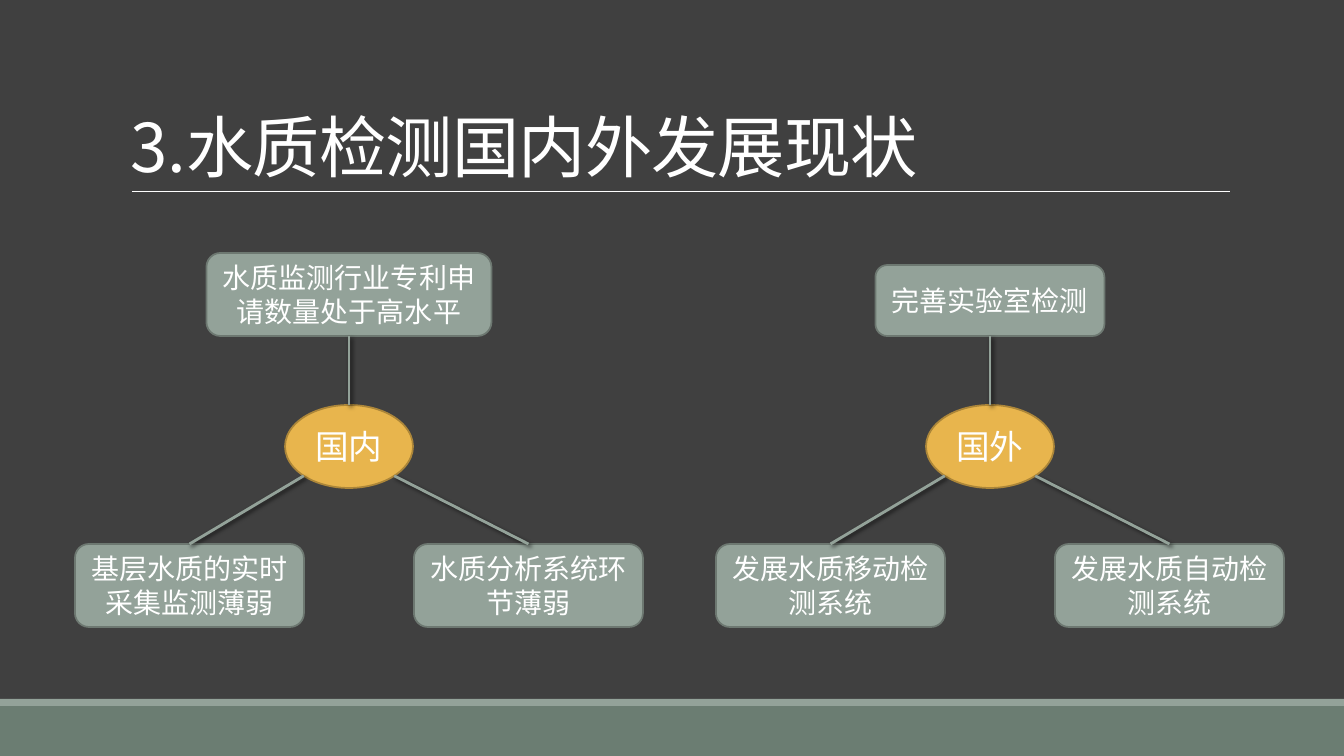
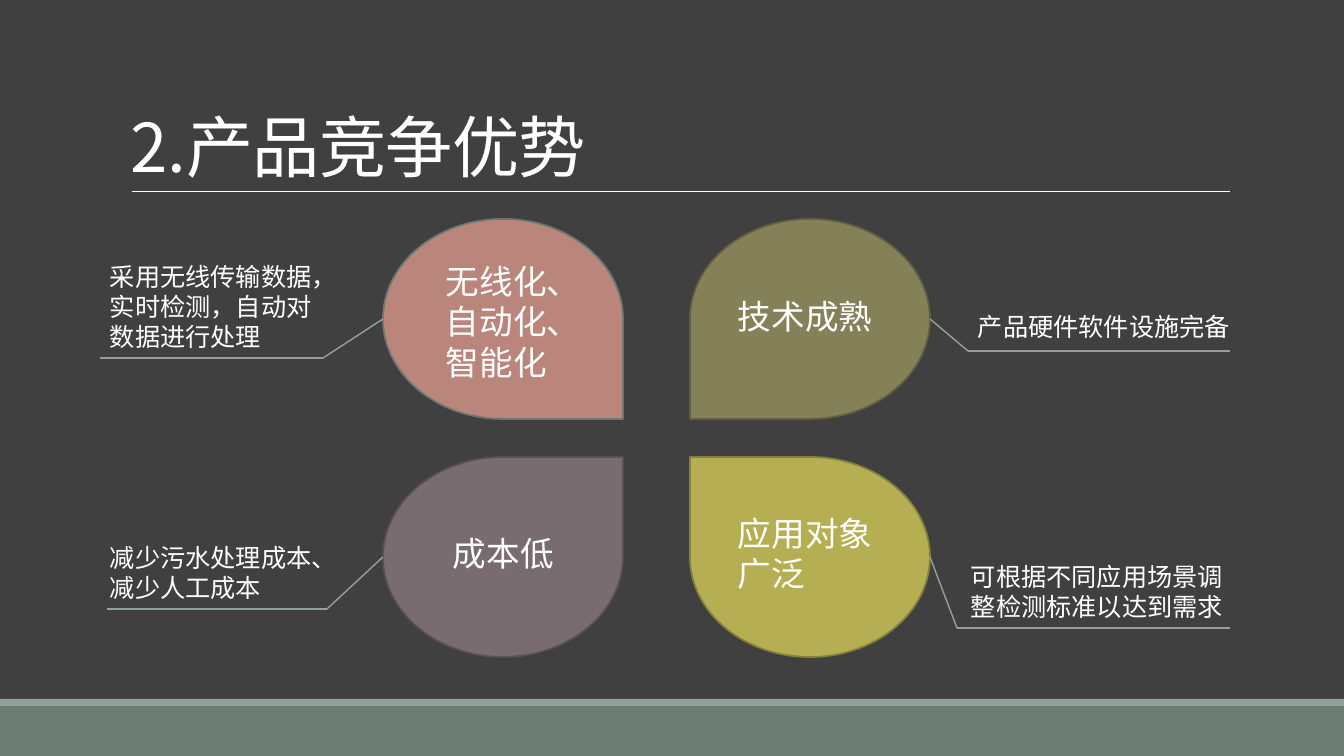
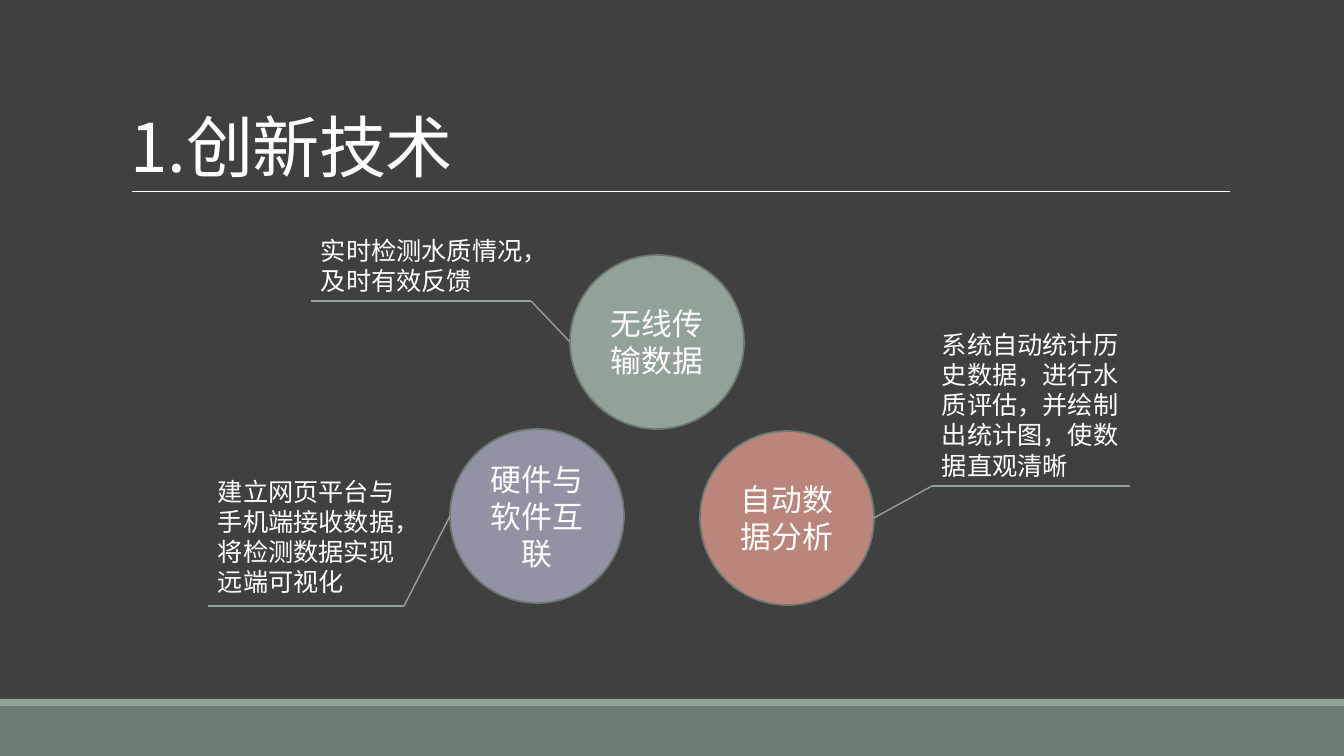
import lxml.etree
import pptx
import pptx.dml.color
import pptx.enum.shapes
import pptx.enum.text
import pptx.oxml.ns
import pptx.util

SCALE = 914400 / 100.8
FONT = "Noto Sans CJK SC"
COLORS = {
    "background": "404040",
    "band": "6B7D72",
    "sage": "93A299",
    "sage_edge": "6D7871",
    "amber": "E8B54D",
    "amber_edge": "AC8639",
    "rose": "BA867C",
    "lime": "B5AE53",
    "lime_edge": "86813D",
    "plum": "786C71",
    "plum_edge": "595054",
    "olive": "848058",
    "olive_edge": "625F41",
    "lavender": "9292A4",
    "white": "FFFFFF",
    "black": "000000",
}
SHAPES = pptx.enum.shapes.MSO_SHAPE
ALIGN = pptx.enum.text.PP_ALIGN
ANCHOR = pptx.enum.text.MSO_ANCHOR


def emu(pixels):
    """Turn px into EMU."""
    return pptx.util.Emu(round(pixels * SCALE))


def color(name):
    """Look up a palette colour."""
    return pptx.dml.color.RGBColor.from_string(COLORS[name])


def add_child(parent, tag, **attributes):
    """Append a DrawingML element to a parent."""
    return lxml.etree.SubElement(parent, pptx.oxml.ns.qn(tag), attributes)


def write(shape, text, size, align=ALIGN.LEFT, anchor=ANCHOR.TOP):
    """Fill a shape with one paragraph of white text and return the paragraph."""
    text_frame = shape.text_frame
    text_frame.word_wrap = True
    text_frame.vertical_anchor = anchor
    text_frame.text = text
    paragraph = text_frame.paragraphs[0]
    paragraph.alignment = align
    for run in paragraph.runs:
        run.font.size = pptx.util.Pt(size)
        run.font.name = FONT
        run.font.color.rgb = color("white")
        add_child(run.font._element, "a:ea", typeface=FONT)
    return paragraph


def add_text(slide, text, box, size, **layout):
    """Add a text box and return its paragraph."""
    return write(slide.shapes.add_textbox(*map(emu, box)), text, size, **layout)


def add_block(slide, kind, box, fill, edge=None, text="", size=20):
    """Add a filled preset shape with optional centred text."""
    shape = slide.shapes.add_shape(kind, *map(emu, box))
    shape.shadow.inherit = False
    shape.fill.solid()
    shape.fill.fore_color.rgb = color(fill)
    if edge:
        shape.line.color.rgb = color(edge)
        shape.line.width = pptx.util.Pt(1.25)
    else:
        shape.line.fill.background()
    if text:
        write(shape, text, size, ALIGN.CENTER, ANCHOR.MIDDLE)
    return shape


def add_line(slide, start, end, line_color="sage", width=1, shadow=False):
    """Draw a straight connector between two points in EMU."""
    connector = slide.shapes.add_connector(
        pptx.enum.shapes.MSO_CONNECTOR.STRAIGHT, *map(round, (*start, *end)))
    connector.line.color.rgb = color(line_color)
    connector.line.width = pptx.util.Pt(width)
    effects = add_child(connector._element.spPr, "a:effectLst")
    if shadow:
        outer = add_child(effects, "a:outerShdw", blurRad="38100", dist="25400",
                          dir="2700000", rotWithShape="0")
        black = add_child(outer, "a:srgbClr", val=COLORS["black"])
        add_child(black, "a:alpha", val="60000")
    return connector


def add_titled_slide(presentation, title):
    """Add a slide with the shared bands, title and rule."""
    slide = presentation.slides.add_slide(presentation.slide_layouts[6])
    add_block(slide, SHAPES.RECTANGLE, (0, 706, 1344, 50), "band")
    add_block(slide, SHAPES.RECTANGLE, (0, 699, 1344, 7), "sage")
    add_line(slide, (emu(132), emu(191)), (emu(1230), emu(191)), "white", 0.5)
    paragraph = add_text(slide, title, (121, 31, 1109, 160), 48, anchor=ANCHOR.BOTTOM)
    paragraph.line_spacing = 0.85
    for run in paragraph.runs:
        run.font._element.set("spc", "-50")
    return slide


def add_cluster(slide, left, top, hub_text, head_text, head_size, foot_texts):
    """Draw a hub with one box above it and two below."""
    hub_center = left + 274
    head_width, head_height = head_size
    hub = add_block(slide, SHAPES.OVAL, (hub_center - 64, top + 153, 128, 83),
                    "amber", "amber_edge", hub_text, 24)
    head_top = top + 84 - head_height
    head = add_block(slide, SHAPES.ROUNDED_RECTANGLE,
                     (hub_center - head_width / 2, head_top, head_width, head_height),
                     "sage", "sage_edge", head_text)
    stem = add_line(slide, (0, 0), (0, 0), width=2, shadow=True)
    stem.begin_connect(head, 2)
    stem.end_connect(hub, 0)
    diagonal = 0.5 ** 0.5
    for side, offset, text in zip((-1, 1), (0, 339), foot_texts):
        foot = add_block(slide, SHAPES.ROUNDED_RECTANGLE,
                         (left + offset, top + 292, 229, 83), "sage", "sage_edge", text)
        start = (hub.left + hub.width / 2 * (1 + side * diagonal),
                 hub.top + hub.height / 2 * (1 + diagonal))
        branch = add_line(slide, start, start, width=2, shadow=True)
        branch.end_connect(foot, 0)


def add_petal(slide, box, fill, edge, flips, text, label):
    """Draw a teardrop with a label placed relative to its corner."""
    left, top = box[:2]
    petal = add_block(slide, SHAPES.TEAR, box, fill, edge)
    for flip in flips:
        petal._element.spPr.xfrm.set(flip, "1")
    label_left, label_top, label_width, label_height = label
    add_text(slide, text, (left + label_left, top + label_top, label_width, label_height), 24)
    return petal


def add_callout(slide, shape, text, box, near, far):
    """Add a note underlined from near to far and tied to a shape's side."""
    left, top, width, height = box
    add_text(slide, text, box, 18)
    base = emu(top + height)
    elbow = (emu(left + near), base)
    side = shape.left if emu(left) < shape.left else shape.left + shape.width
    add_line(slide, (side, shape.top + shape.height / 2), elbow)
    add_line(slide, elbow, (emu(left + far), base))


def build_status(presentation):
    """Build the slide on the state of development."""
    slide = add_titled_slide(presentation, "3.水质检测国内外发展现状")
    add_cluster(slide, 75, 252, "国内", "水质监测行业专利申请数量处于高水平", (285, 83),
                ("基层水质的实时采集监测薄弱", "水质分析系统环节薄弱"))
    add_cluster(slide, 716, 252, "国外", "完善实验室检测", (229, 71),
                ("发展水质移动检测系统", "发展水质自动检测系统"))


def build_advantages(presentation):
    """Build the slide on competitive advantages."""
    slide = add_titled_slide(presentation, "2.产品竞争优势")
    petals = [
        (0, 0, "rose", "sage_edge", ["flipV"], "无线化、自动化、智能化", (53, 37, 166, 132),
         "采用无线传输数据，实时检测，自动对数据进行处理", (100, 256, 240, 102), 223, 0),
        (1, 0, "olive", "olive_edge", ["flipH", "flipV"], "技术成熟", (38, 72, 162, 50),
         "产品硬件软件设施完备", (968, 306, 288, 45), 0, 262),
        (0, 1, "plum", "plum_edge", [], "成本低", (60, 71, 136, 50),
         "减少污水处理成本、减少人工成本", (100, 537, 228, 72), 227, 7),
        (1, 1, "lime", "lime_edge", ["flipH"], "应用对象广泛", (38, 51, 170, 92),
         "可根据不同应用场景调整检测标准以达到需求", (961, 556, 288, 72), -4, 269),
    ]
    for column, row, fill, edge, flips, text, label, note, note_box, near, far in petals:
        petal = add_petal(slide, (383 + 307 * column, 219 + 238 * row, 240, 200),
                          fill, edge, flips, text, label)
        add_callout(slide, petal, note, note_box, near, far)


def build_technology(presentation):
    """Build the slide on innovative technology."""
    slide = add_titled_slide(presentation, "1.创新技术")
    circles = [
        (450, 429, "lavender", "硬件与软件互联",
         "建立网页平台与手机端接收数据，将检测数据实现远端可视化", (208, 471, 204, 135), 196, 0),
        (570, 255, "sage", "无线传输数据",
         "实时检测水质情况，及时有效反馈", (311, 230, 226, 71), 220, 0),
        (700, 431, "rose", "自动数据分析",
         "系统自动统计历史数据，进行水质评估，并绘制出统计图，使数据直观清晰",
         (932, 324, 213, 162), 0, 198),
    ]
    for left, top, fill, text, note, note_box, near, far in circles:
        circle = add_block(slide, SHAPES.OVAL, (left, top, 174, 174),
                           fill, "sage_edge", text, 22)
        add_callout(slide, circle, note, note_box, near, far)


def main():
    """Build and save the presentation."""
    presentation = pptx.Presentation()
    presentation.slide_width = emu(1344)
    presentation.slide_height = emu(756)
    background = presentation.slide_master.background.fill
    background.solid()
    background.fore_color.rgb = color("background")
    build_status(presentation)
    build_advantages(presentation)
    build_technology(presentation)
    presentation.save("out.pptx")


if __name__ == "__main__":
    main()
